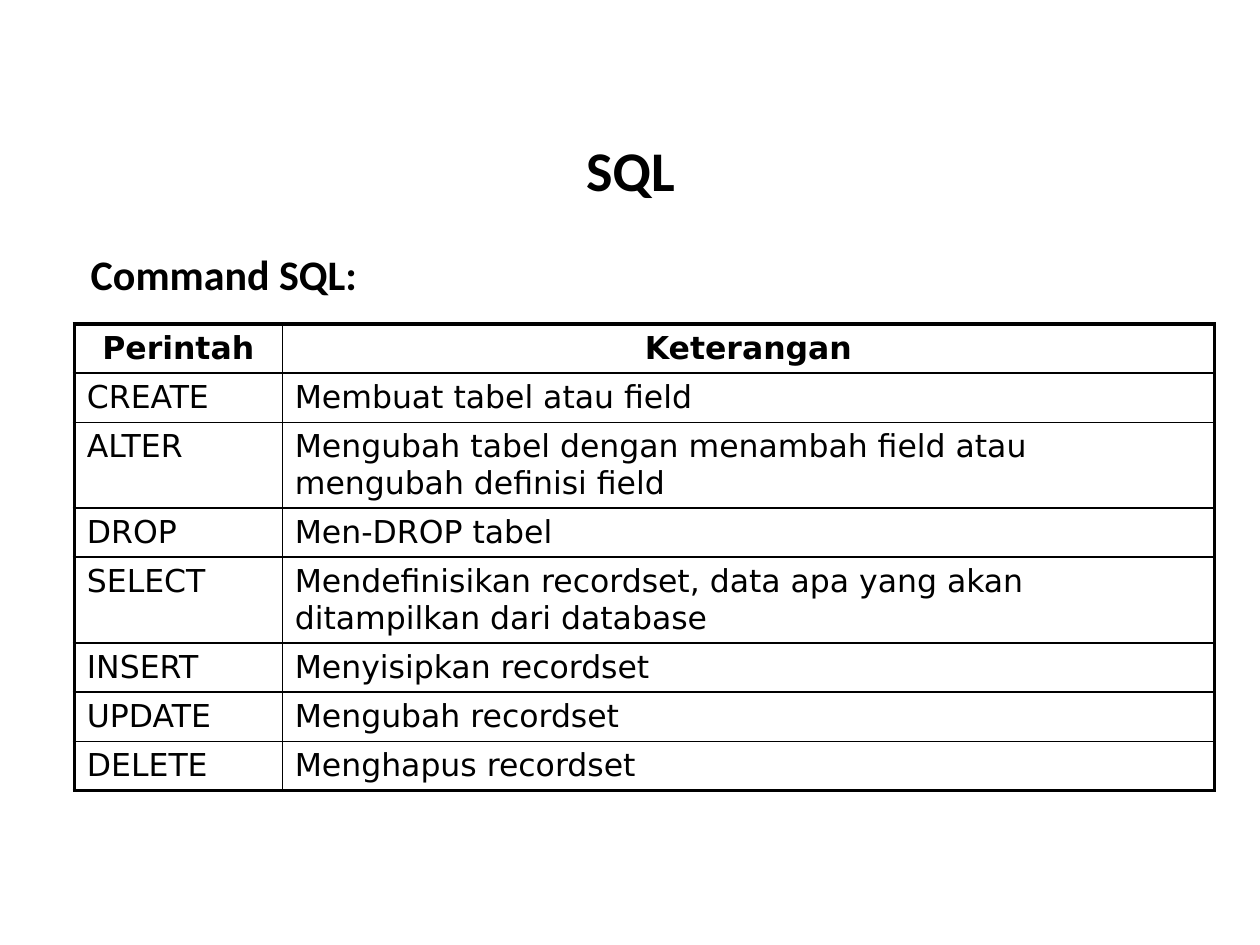
from lxml import etree
from pptx import Presentation, util as u
from pptx.dml.color import RGBColor
from pptx.enum import text as t
from pptx.oxml import ns

BLACK = RGBColor(0, 0, 0)
THICK, THIN = 2.25, 1
ROWS = [
    ("Perintah", "Keterangan"),
    ("CREATE", "Membuat tabel atau field"),
    ("ALTER", "Mengubah tabel dengan menambah field atau mengubah definisi field"),
    ("DROP", "Men-DROP tabel"),
    ("SELECT", "Mendefinisikan recordset, data apa yang akan ditampilkan dari database"),
    ("INSERT", "Menyisipkan recordset"),
    ("UPDATE", "Mengubah recordset"),
    ("DELETE", "Menghapus recordset"),
]
COLS = (1.65, 7.4)
LINE, PAD, WRAP = 0.29, 0.1, 50  # line height, cell padding, letters per line


def style(par, face, size, bold, align):
    par.alignment = align
    for run in par.runs:
        font = run.font
        font.name, font.size, font.bold = face, u.Pt(size), bold
        font.color.rgb = BLACK


def place(shape, box):
    shape.left, shape.top, shape.width, shape.height = map(u.Inches, box)


def add_title(slide, box):
    title = slide.shapes.title
    place(title, box)
    frame = title.text_frame
    frame.text = "SQL"
    frame.vertical_anchor = t.MSO_ANCHOR.BOTTOM
    style(frame.paragraphs[0], "Calibri", 32, True, t.PP_ALIGN.CENTER)


def add_body(slide, box):
    body = slide.placeholders[1]
    place(body, box)
    frame = body.text_frame
    frame.text = "Command SQL:"
    par = frame.paragraphs[0]
    style(par, "Calibri", 24, True, t.PP_ALIGN.LEFT)
    # Hanging indent without a bullet
    props = par._p.get_or_add_pPr()
    props.set("marL", str(u.Inches(0.38)))
    props.set("indent", str(-u.Inches(0.38)))
    etree.SubElement(props, ns.qn("a:buNone"))


def add_edges(cell, edges):
    props = cell._tc.get_or_add_tcPr()
    for spot, (side, width) in enumerate(edges.items()):
        line = etree.Element(ns.qn("a:ln" + side), w=str(u.Pt(width)))
        fill = etree.SubElement(line, ns.qn("a:solidFill"))
        etree.SubElement(fill, ns.qn("a:srgbClr"), val=str(BLACK))
        props.insert(spot, line)


def add_grid(slide, left, top):
    highs = [LINE * (1 + (len(note) > WRAP)) + PAD for _, note in ROWS]
    frame = slide.shapes.add_table(
        len(ROWS), len(COLS),
        *map(u.Inches, (left, top, sum(COLS), sum(highs))))
    table = frame.table
    table.horz_banding = False
    for col, width in zip(table.columns, COLS):
        col.width = u.Inches(width)

    for r, (row, high) in enumerate(zip(ROWS, highs)):
        table.rows[r].height = u.Inches(high)
        head = r == 0
        for c, words in enumerate(row):
            cell = table.cell(r, c)
            cell.text = words
            cell.fill.background()
            align = t.PP_ALIGN.CENTER if head else t.PP_ALIGN.LEFT
            style(cell.text_frame.paragraphs[0], "DejaVu Sans", 18, head, align)
            # Thick outer frame, thin inner rules
            outer = {"L": c == 0, "R": c == len(COLS) - 1,
                     "T": head, "B": r == len(ROWS) - 1}
            add_edges(cell, {side: THICK if out else THIN
                             for side, out in outer.items()})


def main():
    deck = Presentation()
    deck.slide_width, deck.slide_height = u.Inches(10), u.Inches(7.5)
    slide = deck.slides.add_slide(deck.slide_layouts[1])
    add_title(slide, (0.63, 0.33, 8.75, 1.33))
    add_body(slide, (0.62, 1.92, 4.29, 4.67))
    add_grid(slide, 0.59, 2.57)
    deck.save("out.pptx")


if __name__ == "__main__":
    main()
